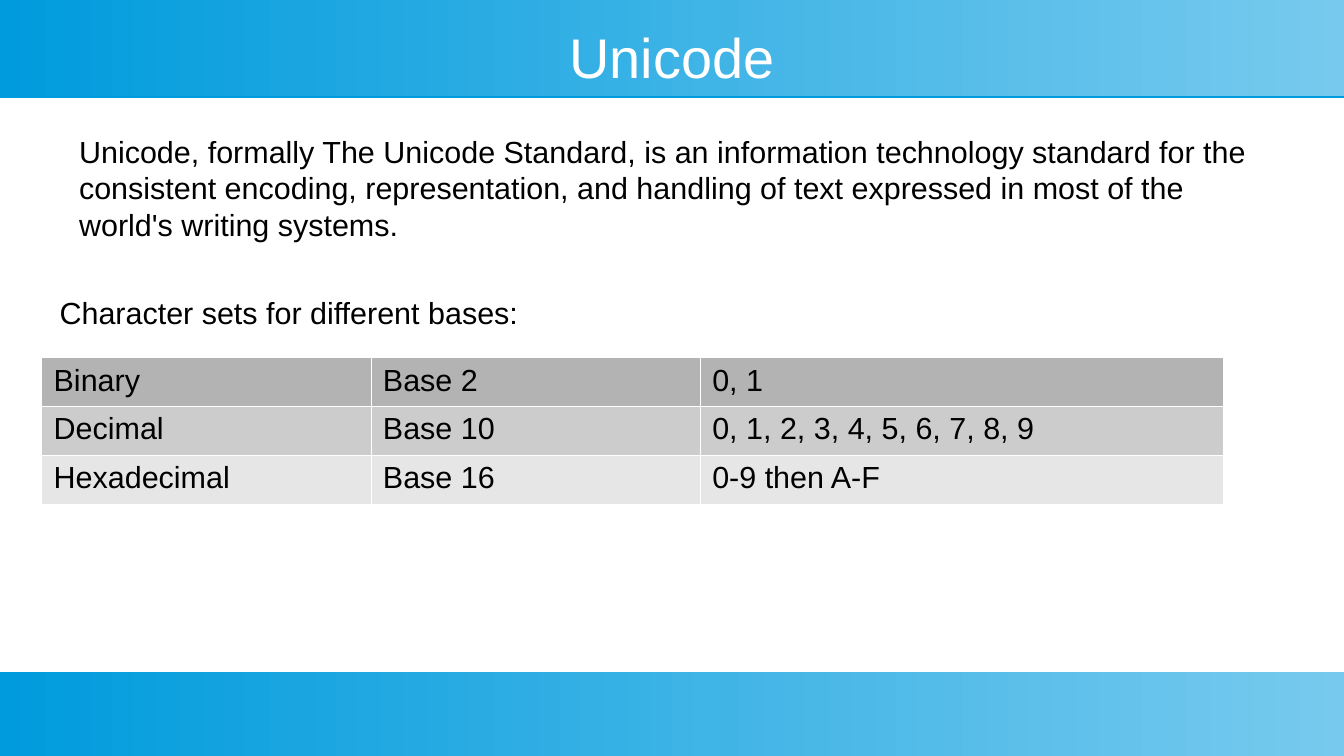
from lxml import etree
from pptx import Presentation
from pptx.dml.color import RGBColor as RGB
from pptx.enum.shapes import MSO_SHAPE as SHAPE
from pptx.enum.text import MSO_ANCHOR as ANCHOR, PP_ALIGN as ALIGN
from pptx.oxml import parse_xml
from pptx.oxml.ns import nsdecls, qn
from pptx.util import Inches, Pt

COLORS = {
    "sky": "009BDD",
    "pale": "77CAEE",
    "white": "FFFFFF",
    "black": "000000",
    "row1": "B3B3B3",
    "row2": "CCCCCC",
    "row3": "E6E6E6",
}
WIDTH, HEIGHT = 11.02, 6.2


class SlideBuilder:
    def __init__(self, prs, font="Arial", size=18):
        self.s = prs.slides.add_slide(prs.slide_layouts[5])
        self.font, self.size = font, size

    def color(self, name):
        return RGB.from_string(COLORS[name])

    def style(self, p, size=None, color="black"):
        for r in p.runs:
            r.font.name = self.font
            r.font.size = Pt(size or self.size)
            r.font.color.rgb = self.color(color)

    def band(self, top, height):
        """Full-width gradient bar with a thin shadow line below it."""
        sp = self.s.shapes.add_shape(SHAPE.RECTANGLE, 0, Inches(top), Inches(WIDTH), Inches(height))
        sp.line.fill.background()
        sp.fill.gradient()
        sp.fill.gradient_angle = 0
        for stop, name in zip(sp.fill.gradient_stops, ("sky", "pale")):
            stop.color.rgb = self.color(name)
        sp.element.spPr.append(parse_xml(
            f'<a:effectLst {nsdecls("a")}><a:outerShdw dist="{Pt(0.9)}" dir="5400000">'
            f'<a:srgbClr val="{COLORS["sky"]}"/></a:outerShdw></a:effectLst>'))
        return sp

    def title(self, text, left, top, width, height):
        sp = self.s.shapes.title
        self.s.shapes[-1].element.addnext(sp.element)  # bring in front of the bands
        sp.left, sp.top, sp.width, sp.height = map(Inches, (left, top, width, height))
        tf = sp.text_frame
        tf.margin_left = tf.margin_right = tf.margin_top = tf.margin_bottom = 0
        tf.vertical_anchor = ANCHOR.MIDDLE
        tf.text = text
        tf.paragraphs[0].alignment = ALIGN.CENTER
        self.style(tf.paragraphs[0], 33, "white")

    def text(self, text, left, top, width, height):
        tf = self.s.shapes.add_textbox(*map(Inches, (left, top, width, height))).text_frame
        tf.word_wrap = True
        tf.text = text
        self.style(tf.paragraphs[0])

    def border(self, cell):
        tcPr = cell._tc.get_or_add_tcPr()
        for i, side in enumerate(("lnL", "lnR", "lnT", "lnB")):
            ln = etree.Element(qn(f"a:{side}"), w=str(Pt(0.06)))
            fill = etree.SubElement(ln, qn("a:solidFill"))
            etree.SubElement(fill, qn("a:srgbClr"), val=COLORS["white"])
            tcPr.insert(i, ln)

    def table(self, rows, fills, left, top, col_widths, row_height):
        tbl = self.s.shapes.add_table(
            len(rows), len(col_widths), Inches(left), Inches(top),
            Inches(sum(col_widths)), Inches(row_height * len(rows))).table
        tbl.first_row = tbl.horz_banding = False
        for col, width in zip(tbl.columns, col_widths):
            col.width = Inches(width)
        for row, values, fill in zip(tbl.rows, rows, fills):
            row.height = Inches(row_height)
            for cell, value in zip(row.cells, values):
                cell.text = value
                cell.fill.solid()
                cell.fill.fore_color.rgb = self.color(fill)
                self.border(cell)
                self.style(cell.text_frame.paragraphs[0])


def main():
    prs = Presentation()
    prs.slide_width, prs.slide_height = Inches(WIDTH), Inches(HEIGHT)
    b = SlideBuilder(prs)
    b.band(0, 0.79)
    b.band(5.51, HEIGHT - 5.51)
    b.title("Unicode", 0.39, 0.2, 10.24, 0.52)
    b.text("Unicode, formally The Unicode Standard, is an information technology standard "
           "for the consistent encoding, representation, and handling of text expressed "
           "in most of the world's writing systems.", 0.55, 1.04, 9.79, 1)
    b.table([("Binary", "Base 2", "0, 1"),
             ("Decimal", "Base 10", "0, 1, 2, 3, 4, 5, 6, 7, 8, 9"),
             ("Hexadecimal", "Base 16", "0-9 then A-F")],
            ("row1", "row2", "row3"), 0.34, 2.93, (2.7, 2.7, 4.29), 0.4)
    b.text("Character sets for different bases:", 0.39, 2.36, 6.89, 0.38)
    prs.save("out.pptx")


if __name__ == "__main__":
    main()
